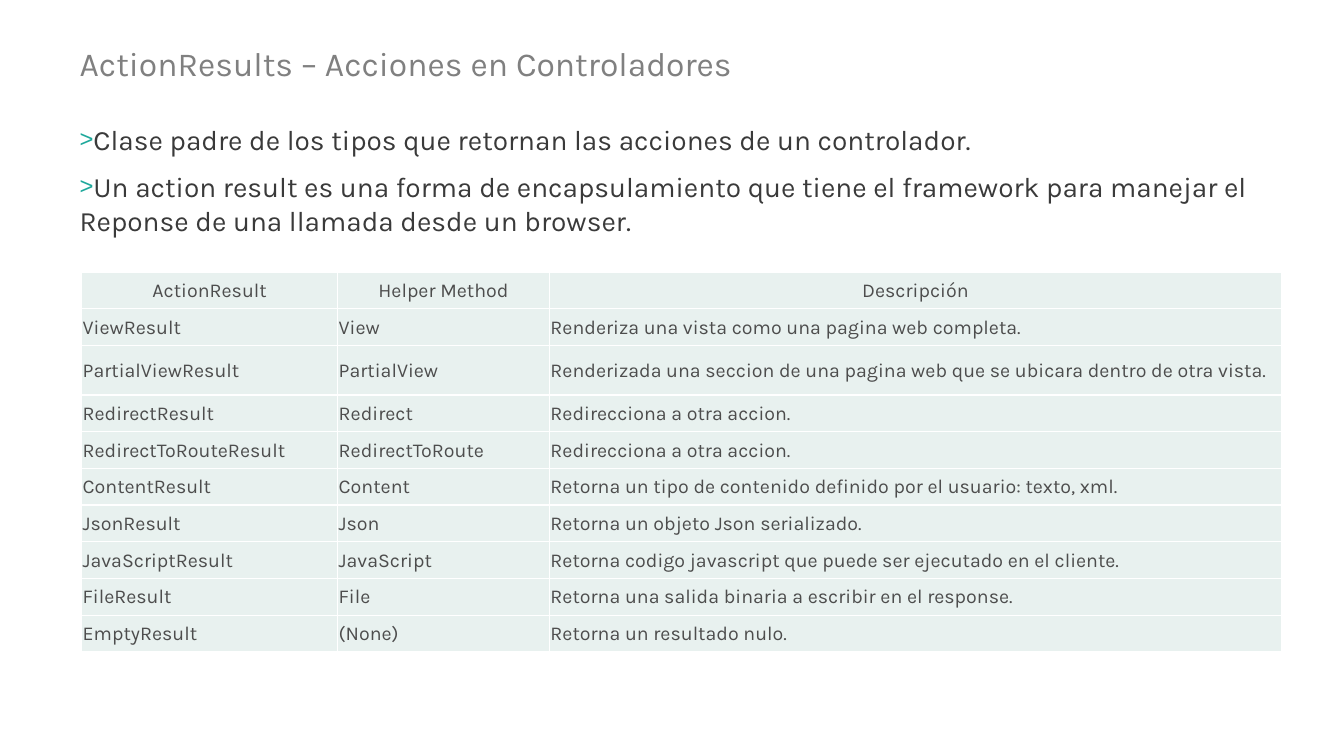
from pptx import Presentation
from pptx.dml.color import RGBColor
from pptx.enum.text import MSO_ANCHOR, PP_ALIGN
from pptx.oxml import parse_xml
from pptx.oxml.ns import nsdecls
from pptx.util import Inches, Pt

COLORS = {"title": "808080", "body": "3A3A3A", "bullet": "1EA89B",
          "cell": "E8F1EF", "cell_text": "4D4D4D", "border": "FFFFFF"}


def write(p, text, size, color):
    """Add a run of Karla text to a paragraph."""
    r = p.add_run()
    r.text = text
    for name, value in {"name": "Karla", "size": Pt(size), "bold": False}.items():
        setattr(r.font, name, value)
    r.font.color.rgb = RGBColor.from_string(COLORS[color])


def add_xml(parent, tag, body="", attrs=""):
    """Append a DrawingML element to a parent."""
    parent.append(parse_xml(f'<a:{tag} {nsdecls("a")} {attrs}>{body}</a:{tag}>'))


prs = Presentation()
prs.slide_width, prs.slide_height = Inches(13.33), Inches(7.5)
s = prs.slides.add_slide(prs.slide_layouts[5])

# Title
title = s.shapes.title
for name, value in {"left": 0.69, "top": 0.38, "width": 12.32, "height": 0.32}.items():
    setattr(title, name, Inches(value))
tf = title.text_frame
tf.vertical_anchor = MSO_ANCHOR.TOP
p = tf.paragraphs[0]
p.alignment = PP_ALIGN.LEFT
write(p, "ActionResults – Acciones en Controladores", 24, "title")

# Bulleted introduction
bullets = [
    "Clase padre de los tipos que retornan las acciones de un controlador.",
    "Un action result es una forma de encapsulamiento que tiene el framework "
    "para manejar el Reponse de una llamada desde un browser.",
]
tf = s.shapes.add_textbox(Inches(0.69), Inches(1.17), Inches(12.01), Inches(1.53)).text_frame
tf.word_wrap = True
for i, text in enumerate(bullets):
    p = tf.add_paragraph() if i else tf.paragraphs[0]
    p.level = i
    p.space_before, p.space_after = Pt(1.3), Pt(8)
    write(p, text, 20, "body")
    pPr = p._p.get_or_add_pPr()
    pPr.set("marL", "0")
    pPr.set("indent", str(Inches(-0.26)))
    add_xml(pPr, "buClr", f'<a:srgbClr val="{COLORS["bullet"]}"/>')
    add_xml(pPr, "buSzPct", attrs='val="85000"')
    add_xml(pPr, "buFont", attrs='typeface="Arial"')
    add_xml(pPr, "buChar", attrs='char="&gt;"')

# Table of action results
rows = [
    ("ActionResult", "Helper Method", "Descripción"),
    ("ViewResult", "View", "Renderiza una vista como una pagina web completa."),
    ("PartialViewResult", "PartialView",
     "Renderizada una seccion de una pagina web que se ubicara dentro de otra vista."),
    ("RedirectResult", "Redirect", "Redirecciona a otra accion."),
    ("RedirectToRouteResult", "RedirectToRoute", "Redirecciona a otra accion."),
    ("ContentResult", "Content",
     "Retorna un tipo de contenido definido por el usuario: texto, xml."),
    ("JsonResult", "Json", "Retorna un objeto Json serializado."),
    ("JavaScriptResult", "JavaScript",
     "Retorna codigo javascript que puede ser ejecutado en el cliente."),
    ("FileResult", "File", "Retorna una salida binaria a escribir en el response."),
    ("EmptyResult", "(None)", "Retorna un resultado nulo."),
]
height, tall_row, tall_height = 3.77, 2, 0.49
row_height = (height - tall_height) / (len(rows) - 1)
table = s.shapes.add_table(len(rows), 3, Inches(0.81), Inches(2.7),
                           Inches(11.9), Inches(height)).table
for column, width in zip(table.columns, (2.54, 2.1, 7.26)):
    column.width = Inches(width)

cell_format = {"margin_left": Inches(0.01), "margin_top": Inches(0.01),
               "margin_right": Inches(0.01), "margin_bottom": 0,
               "vertical_anchor": MSO_ANCHOR.MIDDLE}
border = f'<a:solidFill><a:srgbClr val="{COLORS["border"]}"/></a:solidFill>'
for i, row in enumerate(rows):
    table.rows[i].height = Inches(tall_height if i == tall_row else row_height)
    for j, text in enumerate(row):
        cell = table.cell(i, j)
        for name, value in cell_format.items():
            setattr(cell, name, value)
        for side in ("lnL", "lnR", "lnT", "lnB"):
            add_xml(cell._tc.get_or_add_tcPr(), side, border, f'w="{Pt(1)}"')
        cell.fill.solid()
        cell.fill.fore_color.rgb = RGBColor.from_string(COLORS["cell"])
        p = cell.text_frame.paragraphs[0]
        p.alignment = PP_ALIGN.LEFT if i else PP_ALIGN.CENTER
        write(p, text, 14, "cell_text")

prs.save("out.pptx")
